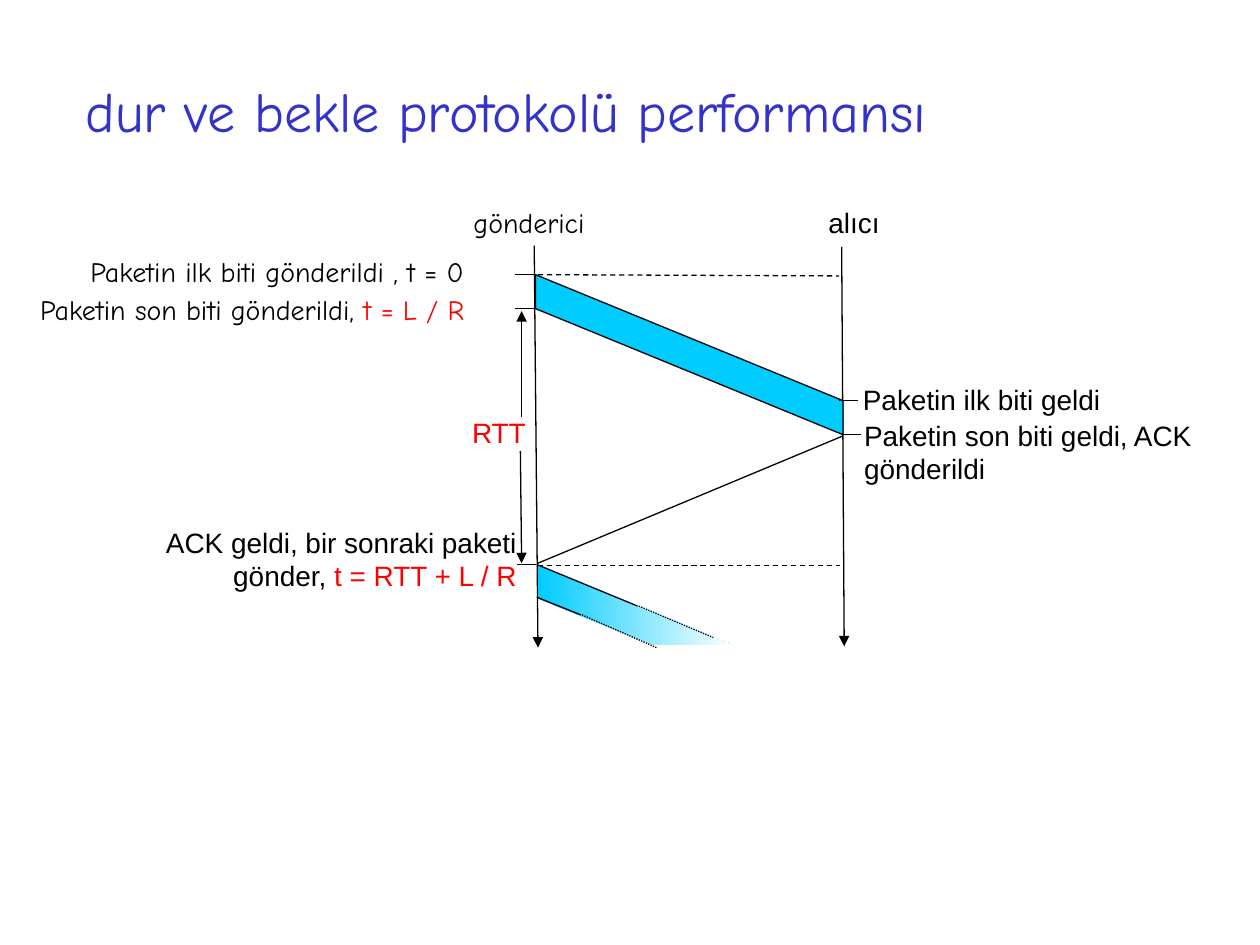
from lxml.etree import SubElement
from pptx import Presentation
from pptx.dml.color import RGBColor
from pptx.enum.dml import MSO_LINE_DASH_STYLE as Dash
from pptx.enum.shapes import MSO_CONNECTOR as Connector, MSO_SHAPE as Shape
from pptx.enum.text import MSO_ANCHOR as Anchor, PP_ALIGN as Align
from pptx.oxml.ns import qn
from pptx.util import Inches, Pt

COLORS = {"title": "3333CC", "ink": "000000", "accent": "FF0000",
          "packet": "00CCFF", "paper": "FFFFFF"}
COMIC, ARIAL = "Comic Neue", "Arial"
TITLE = "dur ve bekle protokolü performansı"

# box, font, alignment, filled, runs of (text, colour, size)
LABELS = [
    ((0.62, 1.97, 3.53, 0.39), COMIC, Align.LEFT, True,
     [("Paketin ilk biti gönderildi , t = 0", "ink", 16)]),
    ((3.66, 1.58, 1.4, 0.38), COMIC, Align.LEFT, True, [("gönderici", "ink", 16)]),
    ((6.05, 1.58, 1.03, 0.38), ARIAL, Align.RIGHT, True, [("alıcı", "ink", 16)]),
    ((3.38, 3.25, 0.93, 0.37), ARIAL, Align.RIGHT, False,
     [("RTT", "accent", 16), (" ", "ink", 10)]),
    ((0.22, 2.27, 3.92, 0.39), COMIC, Align.LEFT, False,
     [("Paketin son biti gönderildi, ", "ink", 16), ("t = L / R", "accent", 16)]),
    ((6.75, 2.99, 2.65, 0.39), ARIAL, Align.LEFT, False,
     [("Paketin ilk biti geldi", "ink", 16)]),
    ((6.76, 3.27, 2.93, 0.62), ARIAL, Align.LEFT, False,
     [("Paketin son biti geldi, ACK gönderildi", "ink", 16)]),
    ((1.14, 4.12, 3.06, 0.69), ARIAL, Align.RIGHT, False,
     [("ACK geldi, bir sonraki paketi gönder, ", "ink", 16),
      ("t = RTT + L / R", "accent", 16)]),
]
FIRST_PACKET = [(4.25, 2.18), (6.69, 3.18), (6.69, 3.45), (4.25, 2.45)]
NEXT_PACKET = [(4.27, 4.49), (5.82, 5.12), (5.19, 5.12), (4.27, 4.75)]

ARROWS = [(4.24, 1.95, 4.27, 5.14), (6.68, 1.96, 6.7, 5.13),
          (4.13, 3.58, 4.14, 4.47), (4.14, 3.31, 4.14, 2.47)]
TIME_LEVELS = [(4.27, 2.18, 6.66, 2.19), (4.27, 4.49, 6.67, 4.49)]
FIRST_BIT = (4.26, 2.19, 6.69, 3.2)
ACK = (4.27, 4.47, 6.69, 3.46)
TICKS = [(4.24, 2.18, 4.09, 2.18), (4.24, 2.45, 4.09, 2.45), (4.25, 4.48, 4.1, 4.48),
         (6.81, 3.18, 6.66, 3.18), (6.69, 3.45, 6.83, 3.45)]
# solid start and dotted rest of each edge of the next packet
UPPER_EDGE = [(4.26, 4.48, 5.06, 4.81), (5.07, 4.81, 5.66, 5.06)]
LOWER_EDGE = [(4.26, 4.74, 4.61, 4.88), (4.62, 4.88, 5.21, 5.14)]


def color(name):
    return RGBColor.from_string(COLORS[name])


def add_line(shapes, ends, dash=None, arrow=False):
    """Draw a thin line, optionally dashed or with an arrowhead at its end."""
    connector = shapes.add_connector(Connector.STRAIGHT, *map(Inches, ends))
    connector.line.color.rgb = color("ink")
    connector.line.width = Pt(0.75)
    if dash:
        connector.line.dash_style = dash
    if arrow:
        SubElement(connector.line._get_or_add_ln(), qn("a:tailEnd"), type="triangle")
    SubElement(connector._element.spPr, qn("a:effectLst"))


def add_label(shapes, box, font, alignment, filled, runs):
    """Place a label, on a white rectangle when filled."""
    place = [Inches(value) for value in box]
    if filled:
        shape = shapes.add_shape(Shape.RECTANGLE, *place)
        shape.shadow.inherit = False
        shape.fill.solid()
        shape.fill.fore_color.rgb = color("paper")
        shape.line.fill.background()
    else:
        shape = shapes.add_textbox(*place)
    frame = shape.text_frame
    frame.word_wrap = True
    frame.vertical_anchor = Anchor.TOP
    paragraph = frame.paragraphs[0]
    paragraph.alignment = alignment
    paragraph.font.name = font
    for text, name, size in runs:
        run = paragraph.add_run()
        run.text = text
        run.font.name = font
        run.font.size = Pt(size)
        run.font.color.rgb = color(name)


def add_band(shapes, points):
    """Build a closed outline and return it without a shadow."""
    corners = [(Inches(x), Inches(y)) for x, y in points]
    builder = shapes.build_freeform(*corners[0])
    builder.add_line_segments(corners[1:], close=True)
    band = builder.convert_to_shape()
    band.shadow.inherit = False
    return band


def add_edge(shapes, edge):
    """Draw an edge that goes from solid to dotted."""
    solid, dotted = edge
    add_line(shapes, solid)
    add_line(shapes, dotted, Dash.ROUND_DOT)


def add_title(slide):
    """Fill and format the title placeholder."""
    title = slide.shapes.title
    title.left, title.top, title.width, title.height = map(Inches, (0.58, 0.25, 8.5, 1.25))
    title.text_frame.text = TITLE
    title.text_frame.vertical_anchor = Anchor.MIDDLE
    paragraph = title.text_frame.paragraphs[0]
    paragraph.alignment = Align.LEFT
    paragraph.font.name = COMIC
    paragraph.font.size = Pt(32)
    paragraph.font.color.rgb = color("title")


def main():
    """Build the stop-and-wait timing slide."""
    presentation = Presentation()
    presentation.slide_width, presentation.slide_height = Inches(10), Inches(7.5)
    slide = presentation.slides.add_slide(presentation.slide_layouts[5])
    shapes = slide.shapes
    add_title(slide)
    for label in LABELS:
        add_label(shapes, *label)
    add_line(shapes, FIRST_BIT)
    for ends in ARROWS:
        add_line(shapes, ends, arrow=True)
    for ends in TIME_LEVELS:
        add_line(shapes, ends, Dash.DASH)
    add_line(shapes, ACK)

    band = add_band(shapes, FIRST_PACKET)
    band.fill.solid()
    band.fill.fore_color.rgb = color("packet")
    band.line.color.rgb = color("ink")
    band.line.width = Pt(0.75)
    for ends in TICKS:
        add_line(shapes, ends)

    band = add_band(shapes, NEXT_PACKET)
    band.fill.gradient()
    band.fill.gradient_angle = 0
    for stop, name in zip(band.fill.gradient_stops, ("packet", "paper")):
        stop.color.rgb = color(name)
    band.line.fill.background()
    add_edge(shapes.add_group_shape().shapes, UPPER_EDGE)
    add_edge(shapes, LOWER_EDGE)
    presentation.save("out.pptx")


if __name__ == "__main__":
    main()
